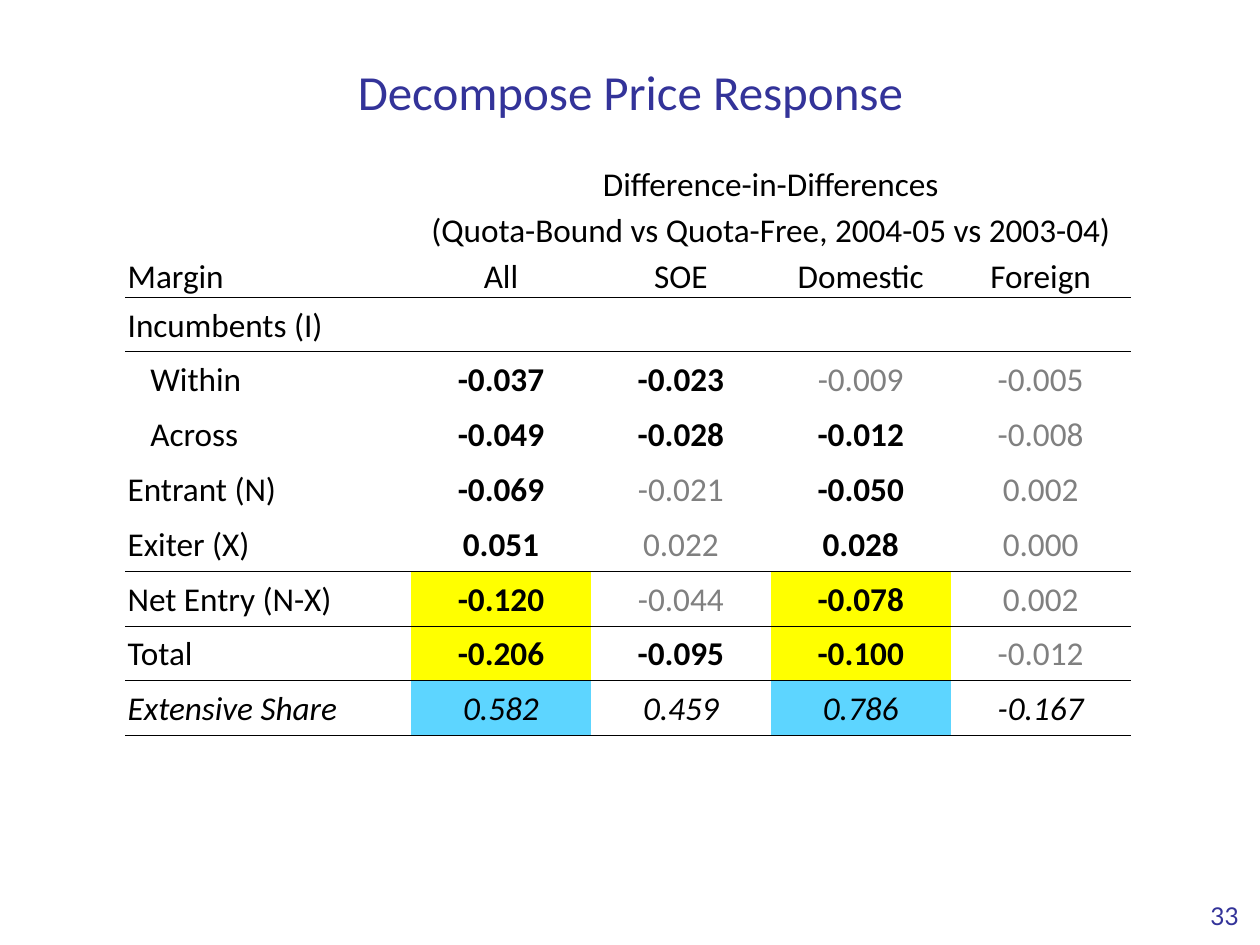
from pptx import Presentation
from pptx.dml.color import RGBColor
from pptx.enum.text import MSO_ANCHOR, PP_ALIGN
from pptx.oxml import parse_xml
from pptx.oxml.ns import nsdecls
from pptx.util import Pt

LEFT, MID, RIGHT = PP_ALIGN.LEFT, PP_ALIGN.CENTER, PP_ALIGN.RIGHT
CENTRE, BOTTOM = MSO_ANCHOR.MIDDLE, MSO_ANCHOR.BOTTOM
PLAIN = "{2D5ABB26-0587-4C30-8999-92F81FD0307C}"  # no style, no grid

COLORS = {"ink": "000000", "faint": "808080", "title": "333399",
          "yellow": "FFFF00", "blue": "5DD5FF"}

HEADS = ["Difference-in-Differences",
         "(Quota-Bound vs Quota-Free, 2004-05 vs 2003-04)"]
# A star marks a significant value.
ROWS = [
    ["Margin", "All", "SOE", "Domestic", "Foreign"],
    ["Incumbents (I)", "", "", "", ""],
    ["Within", "-0.037*", "-0.023*", "-0.009", "-0.005"],
    ["Across", "-0.049*", "-0.028*", "-0.012*", "-0.008"],
    ["Entrant (N)", "-0.069*", "-0.021", "-0.050*", "0.002"],
    ["Exiter (X)", "0.051*", "0.022", "0.028*", "0.000"],
    ["Net Entry (N-X)", "-0.120*", "-0.044", "-0.078*", "0.002"],
    ["Total", "-0.206*", "-0.095*", "-0.100*", "-0.012"],
    ["Extensive Share", "0.582", "0.459", "0.786", "-0.167"],
]
RULED = {"Margin", "Exiter (X)", "Net Entry (N-X)", "Total", "Extensive Share"}
FILLS = {"Net Entry (N-X)": "yellow", "Total": "yellow",
         "Extensive Share": "blue"}
MARKED = (1, 3)
NESTED = {"Within", "Across"}


def rgb(name):
    return RGBColor.from_string(COLORS[name])


class Deck:
    def __init__(self, width, height):
        self.show = Presentation()
        self.show.slide_width, self.show.slide_height = Pt(width), Pt(height)
        self.slide = self.show.slides.add_slide(self.show.slide_layouts[6])

    def label(self, para, text, size, align, color="ink", face="Calibri",
              bold=False, italic=False):
        para.text, para.alignment = text, align
        font = para.font
        font.name, font.size = face, Pt(size)
        font.bold, font.italic = bold, italic
        font.color.rgb = rgb(color)

    def text(self, box, text, size, align, anchor, face):
        frame = self.slide.shapes.add_textbox(*map(Pt, box)).text_frame
        frame.word_wrap = True
        frame.vertical_anchor = anchor
        frame.margin_bottom = 0
        self.label(frame.paragraphs[0], text, size, align, "title", face)

    def table(self, left, top, widths, heights):
        frame = self.slide.shapes.add_table(
            len(heights), len(widths), Pt(left), Pt(top),
            Pt(sum(widths)), Pt(sum(heights)))
        table = frame.table
        table.first_row = table.horz_banding = False
        table._tbl.tblPr.find("{*}tableStyleId").text = PLAIN
        for col, width in zip(table.columns, widths):
            col.width = Pt(width)
        for row, height in zip(table.rows, heights):
            row.height = Pt(height)
        return table

    def cell(self, cell, text, align, anchor, fill=None, indent=0, **style):
        cell.margin_left = Pt(1.5 + indent)
        cell.margin_right = cell.margin_top = Pt(1.5)
        cell.margin_bottom = 0
        cell.vertical_anchor = anchor
        if fill:
            cell.fill.solid()
            cell.fill.fore_color.rgb = rgb(fill)
        else:
            cell.fill.background()
        self.label(cell.text_frame.paragraphs[0], text, 19, align, **style)

    def rule(self, cell, side):
        """Draw a thin line on side T or B of a cell; call T before B."""
        props = cell._tc.get_or_add_tcPr()
        line = parse_xml(
            f'<a:ln{side} {nsdecls("a")} w="{Pt(0.5)}"><a:solidFill>'
            f'<a:srgbClr val="{COLORS["ink"]}"/></a:solidFill></a:ln{side}>')
        props.insert(len(props) - 1, line)  # lines go before the fill


def fill_grid(deck, table):
    for y, text in enumerate(HEADS):
        deck.cell(table.cell(y, 0), "", LEFT, BOTTOM)
        table.cell(y, 1).merge(table.cell(y, 4))
        deck.cell(table.cell(y, 1), text, MID, BOTTOM)
    above = None
    for y, row in enumerate(ROWS, len(HEADS)):
        name = row[0]
        head, share = name == "Margin", name == "Extensive Share"
        for x, text in enumerate(row):
            bold = text.endswith("*")
            faint = x and not (bold or head or share)
            cell = table.cell(y, x)
            deck.cell(cell, text.rstrip("*"), MID if x else LEFT,
                      BOTTOM if head else CENTRE,
                      fill=FILLS.get(name) if x in MARKED else None,
                      indent=13 if text in NESTED else 0,
                      color="faint" if faint else "ink",
                      bold=bold, italic=share)
            if above in RULED:
                deck.rule(cell, "T")
            if name in RULED:
                deck.rule(cell, "B")
        above = name


def main():
    deck = Deck(720, 540)
    deck.text((676, 494, 39, 37.5), "33", 14, RIGHT, BOTTOM, "Lato")
    deck.text((28, 21.6, 664.5, 57), "Decompose Price Response", 28,
              MID, CENTRE, "Calibri")
    table = deck.table(71.5, 91.5, [163.4] + [102.8] * 4,
                       [26.1] * 3 + [31.35] * 8)
    fill_grid(deck, table)
    deck.show.save("out.pptx")


if __name__ == "__main__":
    main()
